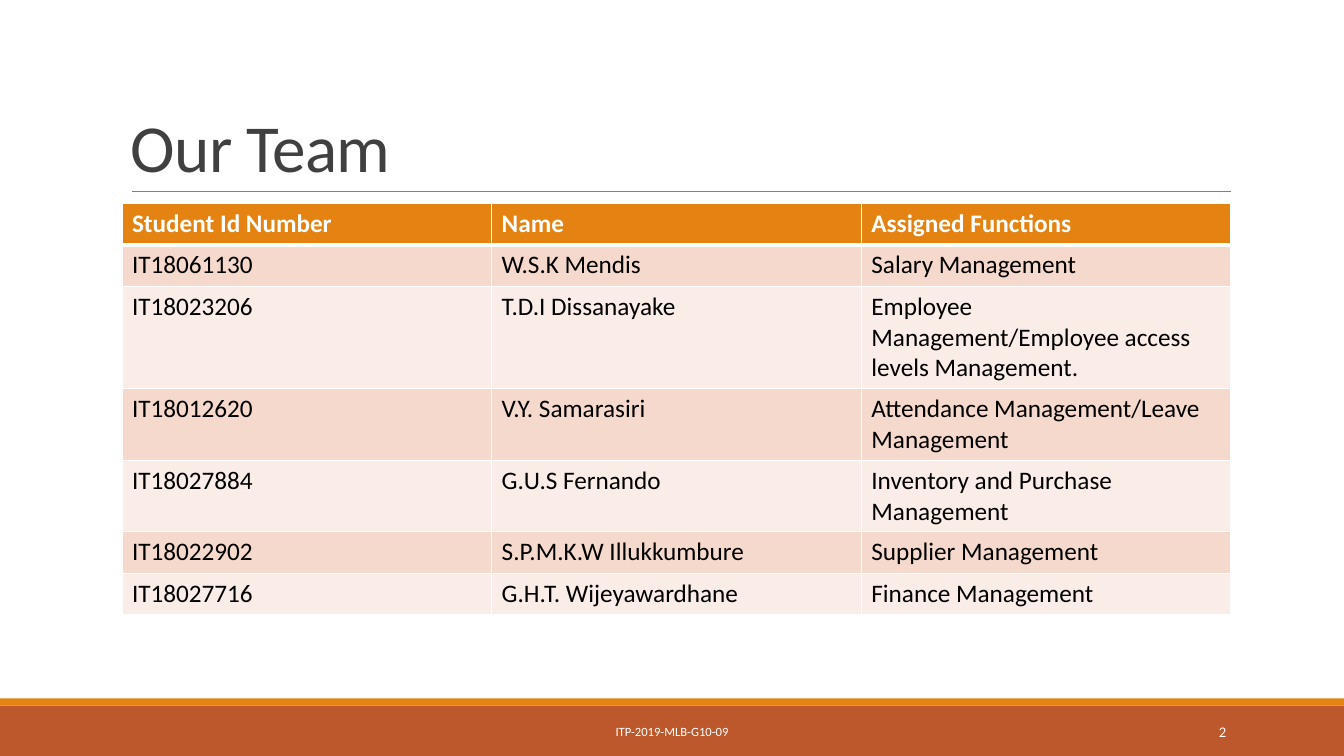
from dataclasses import dataclass

from lxml.etree import SubElement
from pptx import Presentation
from pptx.dml.color import RGBColor
from pptx.enum.shapes import MSO_CONNECTOR, MSO_SHAPE
from pptx.enum.text import MSO_ANCHOR, PP_ALIGN
from pptx.oxml.ns import qn
from pptx.slide import Slide
from pptx.table import _Cell
from pptx.text.text import _Paragraph
from pptx.util import Inches, Pt

COLORS = {
    "title": "404040",
    "rule": "808080",
    "orange": "E48312",
    "rust": "BD582C",
    "band_dark": "F5D9CC",
    "band_light": "FAEDE7",
    "white": "FFFFFF",
    "black": "000000",
}
FONT = "Calibri"
SLIDE_WIDTH = 13.33
TABLE_LEFT, TABLE_TOP, TABLE_WIDTH = 1.21, 2.02, 11
ROW_HEIGHT = 0.41

TEAM = [
    ("Student Id Number", "Name", "Assigned Functions"),
    ("IT18061130", "W.S.K Mendis", "Salary Management"),
    ("IT18023206", "T.D.I Dissanayake",
     "Employee Management/Employee access levels Management."),
    ("IT18012620", "V.Y. Samarasiri", "Attendance Management/Leave Management"),
    ("IT18027884", "G.U.S Fernando", "Inventory and Purchase Management"),
    ("IT18022902", "S.P.M.K.W Illukkumbure", "Supplier Management"),
    ("IT18027716", "G.H.T. Wijeyawardhane", "Finance Management"),
]


@dataclass(frozen=True)
class Bar:
    top: float
    height: float
    color: str


@dataclass(frozen=True)
class Label:
    text: str
    left: float
    top: float
    width: float
    height: float
    size: float
    color: str
    align: PP_ALIGN
    anchor: MSO_ANCHOR
    line_spacing: float = 1.0
    letter_spacing: float = 0


BARS = [Bar(7, 0.5, "rust"), Bar(6.93, 0.07, "orange")]
LABELS = [
    Label("Our Team", 1.2, 0.31, 11, 1.59, 48, "title",
          PP_ALIGN.LEFT, MSO_ANCHOR.BOTTOM, 0.85, -0.5),
    Label("ITP-2019-MLB-G10-09", 4.03, 7.06, 5.27, 0.4, 9, "white",
          PP_ALIGN.CENTER, MSO_ANCHOR.MIDDLE),
    Label("2", 10.83, 7.06, 1.43, 0.4, 10.5, "white",
          PP_ALIGN.RIGHT, MSO_ANCHOR.MIDDLE),
]


def rgb(name: str) -> RGBColor:
    return RGBColor.from_string(COLORS[name])


def write_text(paragraph: _Paragraph, text: str, size: float, color: str,
               bold: bool = False, letter_spacing: float = 0) -> None:
    run = paragraph.add_run()
    run.text = text
    font_format = {"name": FONT, "size": Pt(size), "bold": bold}
    for attribute, value in font_format.items():
        setattr(run.font, attribute, value)
    run.font.color.rgb = rgb(color)
    if letter_spacing:
        run.font._element.set("spc", str(round(letter_spacing * 100)))


def add_bar(slide: Slide, bar: Bar) -> None:
    shape = slide.shapes.add_shape(
        MSO_SHAPE.RECTANGLE, 0, Inches(bar.top), Inches(SLIDE_WIDTH), Inches(bar.height))
    shape.shadow.inherit = False
    shape.fill.solid()
    shape.fill.fore_color.rgb = rgb(bar.color)
    shape.line.fill.background()


def add_title_rule(slide: Slide) -> None:
    rule = slide.shapes.add_connector(
        MSO_CONNECTOR.STRAIGHT, Inches(1.31), Inches(1.9), Inches(12.21), Inches(1.9))
    rule.line.color.rgb = rgb("rule")
    rule.line.width = Pt(0.5)
    SubElement(rule._element.spPr, qn("a:effectLst"))


def add_label(slide: Slide, label: Label) -> None:
    box = slide.shapes.add_textbox(
        Inches(label.left), Inches(label.top), Inches(label.width), Inches(label.height))
    box.text_frame.word_wrap = True
    box.text_frame.vertical_anchor = label.anchor
    paragraph = box.text_frame.paragraphs[0]
    paragraph.alignment = label.align
    paragraph.line_spacing = label.line_spacing
    write_text(paragraph, label.text, label.size, label.color,
               letter_spacing=label.letter_spacing)


def add_borders(cell: _Cell, widths: dict[str, float]) -> None:
    """Draw white borders; call before filling, as lines precede the fill in XML."""
    properties = cell._tc.get_or_add_tcPr()
    for side, width in widths.items():
        line = SubElement(properties, qn(f"a:ln{side}"), w=str(Pt(width)))
        fill = SubElement(line, qn("a:solidFill"))
        SubElement(fill, qn("a:srgbClr"), val=COLORS["white"])


def add_team_table(slide: Slide) -> None:
    table = slide.shapes.add_table(
        len(TEAM), len(TEAM[0]), Inches(TABLE_LEFT), Inches(TABLE_TOP),
        Inches(TABLE_WIDTH), Inches(ROW_HEIGHT * len(TEAM))).table
    table.horz_banding = False
    for column in table.columns:
        column.width = Inches(TABLE_WIDTH / len(TEAM[0]))
    for row_index, member in enumerate(TEAM):
        is_header = row_index == 0
        table.rows[row_index].height = Inches(ROW_HEIGHT)
        band = "band_dark" if row_index % 2 else "band_light"
        widths = {"L": 1, "R": 1, "T": 3 if row_index == 1 else 1,
                  "B": 3 if is_header else 1}
        for column_index, text in enumerate(member):
            cell = table.cell(row_index, column_index)
            add_borders(cell, widths)
            cell.fill.solid()
            cell.fill.fore_color.rgb = rgb("orange" if is_header else band)
            write_text(cell.text_frame.paragraphs[0], text, 18,
                       "white" if is_header else "black", bold=is_header)


def main() -> None:
    presentation = Presentation()
    presentation.slide_width = Inches(SLIDE_WIDTH)
    presentation.slide_height = Inches(7.5)
    slide = presentation.slides.add_slide(presentation.slide_layouts[6])
    for bar in BARS:
        add_bar(slide, bar)
    add_title_rule(slide)
    add_team_table(slide)
    for label in LABELS:
        add_label(slide, label)
    presentation.save("out.pptx")


if __name__ == "__main__":
    main()
